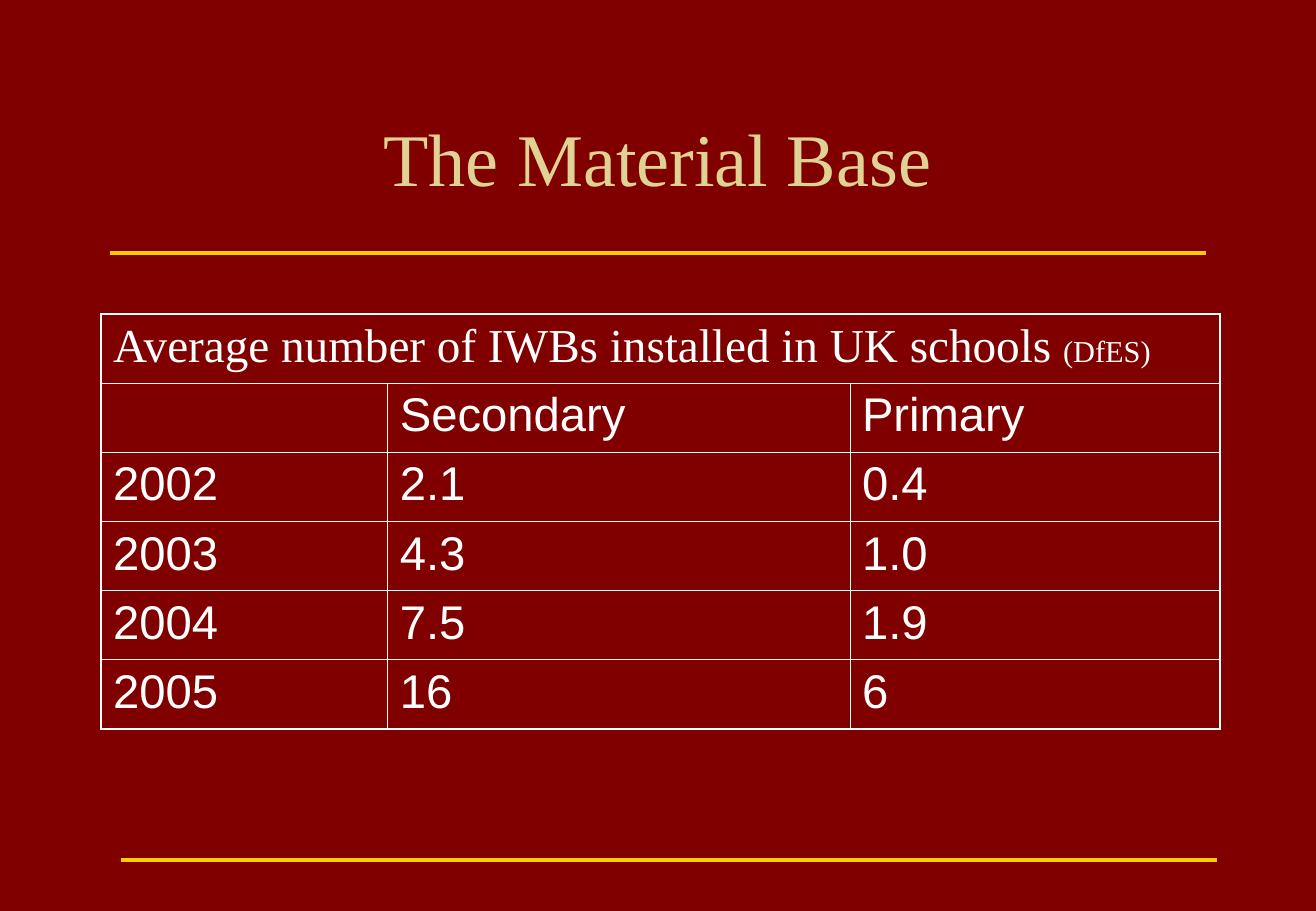
from lxml.etree import SubElement
from pptx import Presentation
from pptx.dml.color import RGBColor
from pptx.enum.shapes import MSO_CONNECTOR as Connector
from pptx.enum.text import MSO_ANCHOR as Anchor, PP_ALIGN as Align
from pptx.oxml.ns import qn
from pptx.util import Pt

COLORS = {"background": "800000", "title": "DFD293", "rule": "FFCC00", "table": "FFFFFF"}
SERIF, SANS = "Times New Roman", "Arial"
THICK, THIN = 1.08, 0.45
ROW_HEIGHT = 41
COLUMN_WIDTHS = (170, 274, 219.3)
TABLE_WIDTH = sum(COLUMN_WIDTHS)
HEADING = (("Average number of IWBs installed in UK schools ", 28), ("(DfES)", 18))
ROWS = (
    ("", "Secondary", "Primary"),
    ("2002", "2.1", "0.4"),
    ("2003", "4.3", "1.0"),
    ("2004", "7.5", "1.9"),
    ("2005", "16", "6"),
)


def rgb(name):
    return RGBColor.from_string(COLORS[name])


def add_span(para, text, color, **formats):
    span = para.add_run()
    span.text = text
    for name, value in formats.items():
        setattr(span.font, name, value)
    span.font.color.rgb = rgb(color)


def add_title(page, text):
    box = page.shapes.add_textbox(Pt(58.5), Pt(48.2), Pt(663), Pt(90))
    frame = box.text_frame
    frame.word_wrap = True
    frame.vertical_anchor = Anchor.MIDDLE
    para = frame.paragraphs[0]
    para.alignment = Align.CENTER
    add_span(para, text, "title", size=Pt(44), name=SERIF)


def add_rule(page, left, top, length=650):
    rule = page.shapes.add_connector(
        Connector.STRAIGHT, Pt(left), Pt(top), Pt(left + length), Pt(top))
    rule.line.color.rgb = rgb("rule")
    rule.line.width = Pt(2.25)
    SubElement(rule._element.spPr, qn("a:effectLst"))


def set_borders(cell, widths):
    """Draw the cell's sides; widths maps L, R, T and B, in that order, to points."""
    properties = cell._tc.get_or_add_tcPr()
    for side, width in widths.items():
        line = SubElement(properties, qn(f"a:ln{side}"), w=str(Pt(width)))
        fill = SubElement(line, qn("a:solidFill"))
        SubElement(fill, qn("a:srgbClr"), val=COLORS["table"])


def add_school_table(page):
    row_count, column_count = len(ROWS) + 1, len(COLUMN_WIDTHS)
    table = page.shapes.add_table(
        row_count, column_count, Pt(59.9), Pt(186),
        Pt(TABLE_WIDTH), Pt(ROW_HEIGHT * row_count)).table
    table.first_row = table.horz_banding = False
    for column, width in zip(table.columns, COLUMN_WIDTHS):
        column.width = Pt(width)
    for row in table.rows:
        row.height = Pt(ROW_HEIGHT)

    heading = table.cell(0, 0)
    heading.merge(table.cell(0, column_count - 1))
    for text, size in HEADING:
        add_span(heading.text_frame.paragraphs[0], text, "table", size=Pt(size), name=SERIF)

    for r in range(row_count):
        for c in range(column_count):
            cell = table.cell(r, c)
            if not cell.is_spanned:
                last_column = c + cell.span_width == column_count
                outer = {"L": c == 0, "R": last_column, "T": r == 0, "B": r == row_count - 1}
                set_borders(cell, {side: THICK if edge else THIN for side, edge in outer.items()})
            cell.fill.background()
            if r and ROWS[r - 1][c]:
                add_span(cell.text_frame.paragraphs[0], ROWS[r - 1][c], "table",
                         size=Pt(28), name=SANS)


def main():
    deck = Presentation()
    deck.slide_width, deck.slide_height = Pt(780.25), Pt(540)
    page = deck.slides.add_slide(deck.slide_layouts[6])
    page.background.fill.solid()
    page.background.fill.fore_color.rgb = rgb("background")
    add_title(page, "The Material Base")
    add_rule(page, 65, 150)
    add_rule(page, 71.5, 510)
    add_school_table(page)
    deck.save("out.pptx")


if __name__ == "__main__":
    main()
